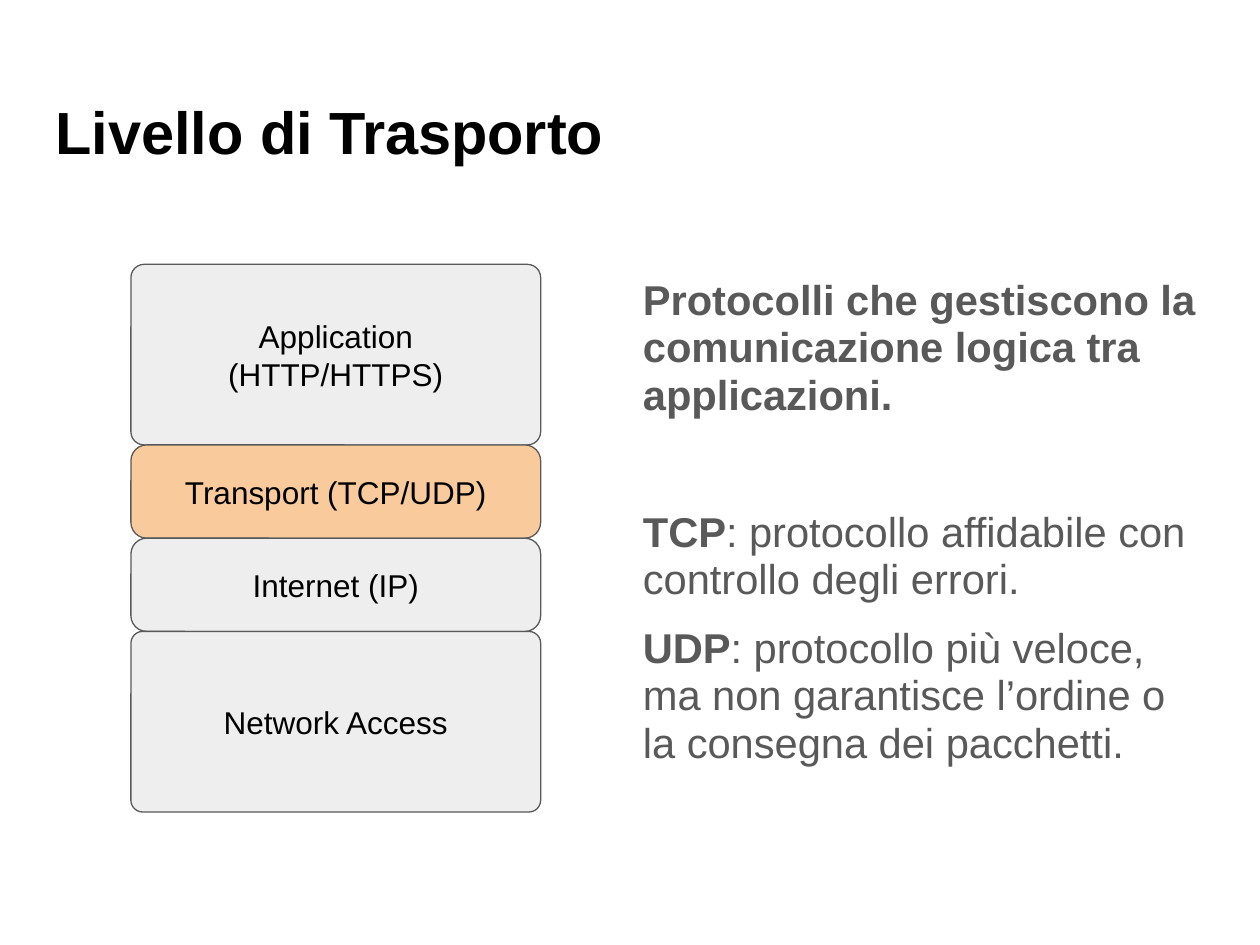
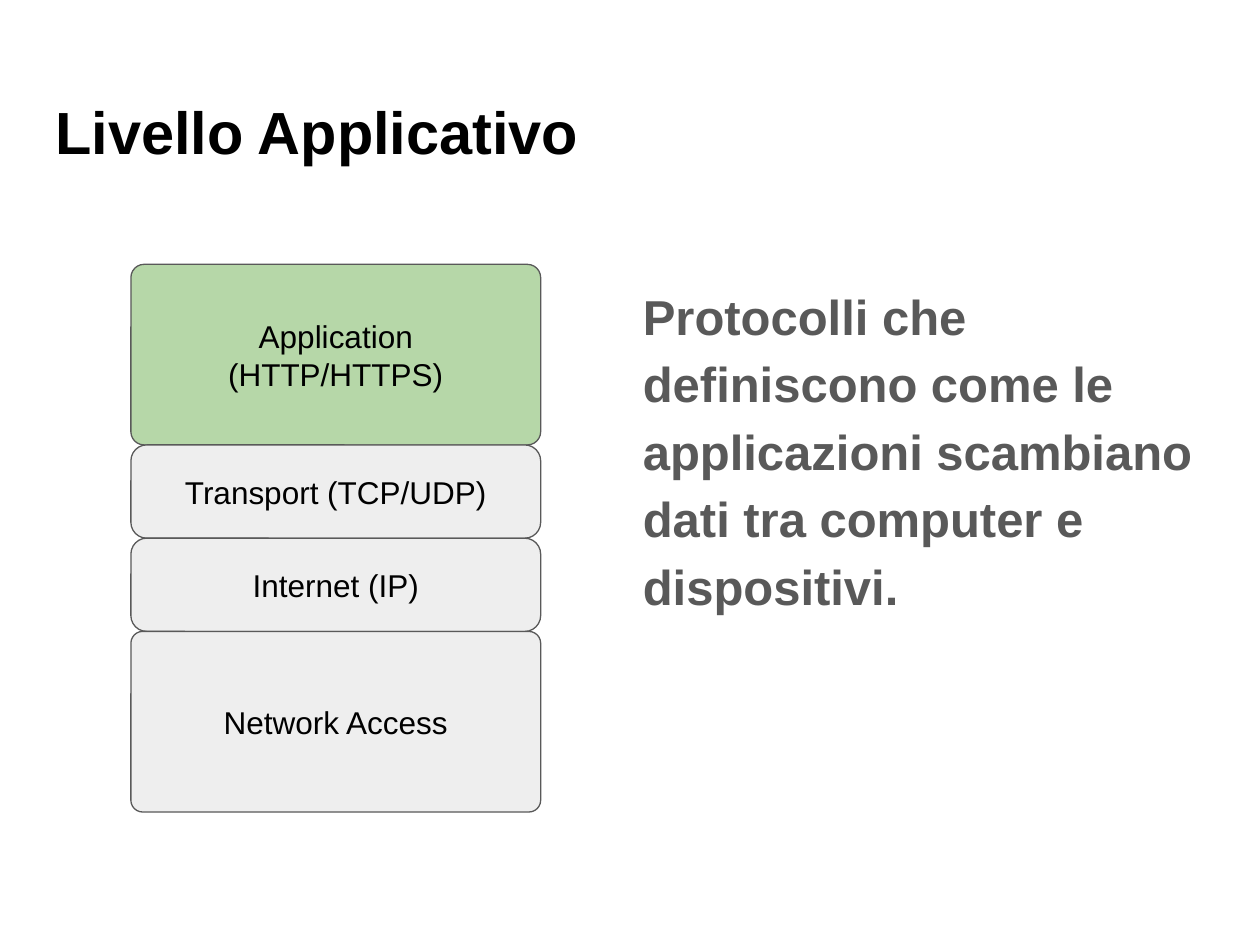
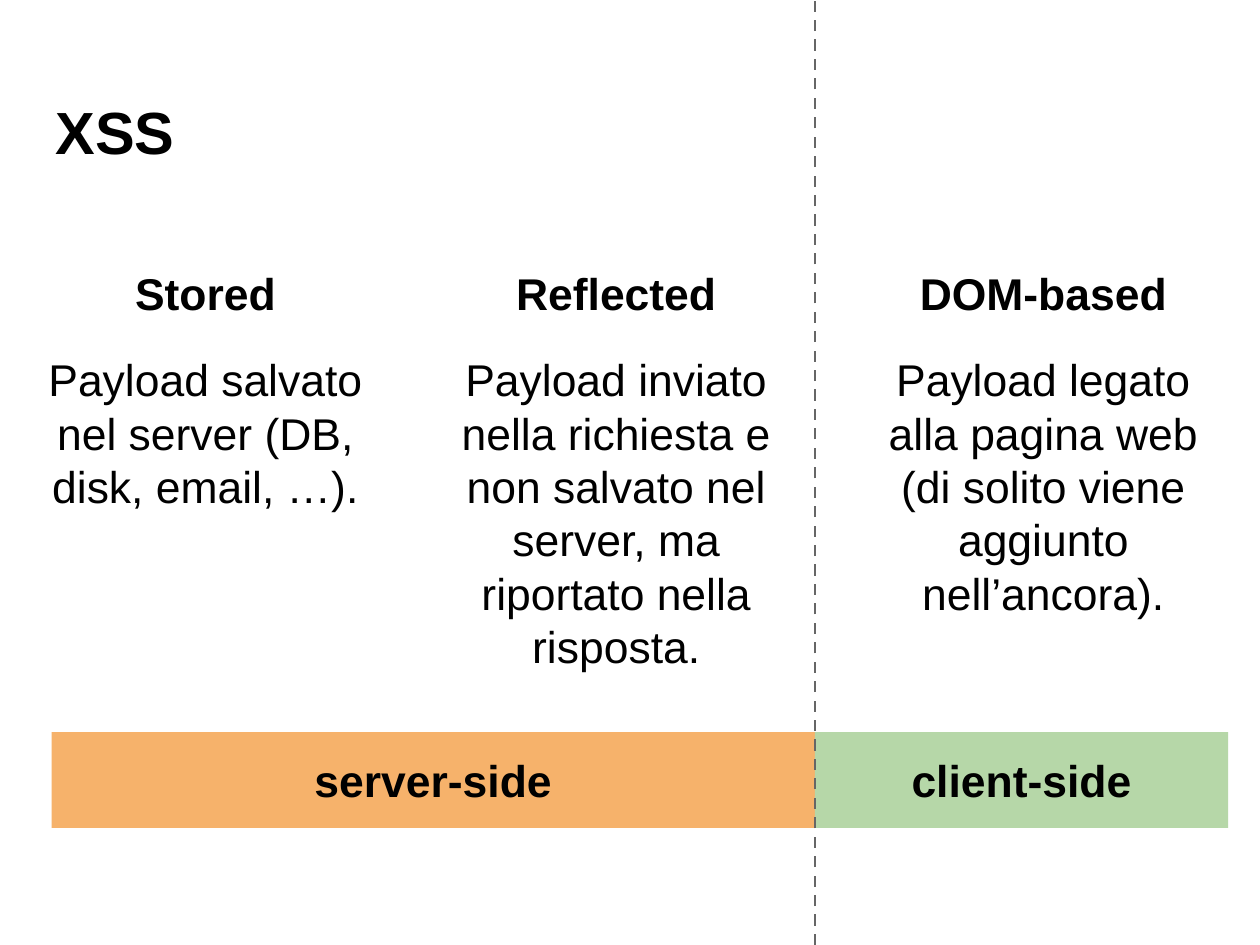
"""Build three slides on network layers and kinds of XSS."""
import pptx
import pptx.dml.color
import pptx.enum.dml
import pptx.enum.shapes
import pptx.enum.text
import pptx.oxml
import pptx.oxml.ns
import pptx.util

Cm, Pt = pptx.util.Cm, pptx.util.Pt
RGB = pptx.dml.color.RGBColor.from_string
ALIGN = pptx.enum.text.PP_ALIGN
ANCHOR = pptx.enum.text.MSO_ANCHOR
SHAPE = pptx.enum.shapes.MSO_SHAPE

COLORS = {
    "black": "000000", "body": "595959", "layer": "EEEEEE", "outline": "595959",
    "transport": "F9CB9C", "green": "B6D7A8", "server": "F6B26B", "divider": "666666",
}


def write(box, text, first=True, size=18, color="black", bold=False, align=ALIGN.LEFT,
          anchor=ANCHOR.TOP, spacing=1.0, before=0, inset=0.26):
    """Write one unbulleted paragraph, with parts between ** in bold."""
    frame = box.text_frame
    frame.word_wrap = True
    frame.auto_size = pptx.enum.text.MSO_AUTO_SIZE.NONE
    frame.vertical_anchor = anchor
    frame.margin_left = frame.margin_right = Cm(inset)
    frame.margin_top = frame.margin_bottom = Cm(inset)
    para = frame.paragraphs[0] if first else frame.add_paragraph()
    properties = para._p.get_or_add_pPr()
    properties.set("marL", "0")
    properties.set("indent", "0")
    properties.append(pptx.oxml.parse_xml(f"<a:buNone {pptx.oxml.ns.nsdecls('a')}/>"))
    para.alignment = align
    para.line_spacing = spacing
    para.space_before = Pt(before)
    para.space_after = Pt(0)
    for number, part in enumerate(text.split("**")):
        if part:
            span = para.add_run()
            span.text = part
            span.font.name = "Arial"
            span.font.size = Pt(size)
            span.font.bold = bold or number % 2 == 1
            span.font.color.rgb = RGB(COLORS[color])


def add_block(page, kind, left, top, width, height, fill, text, **style):
    """Add a filled shape with centred text and no outline."""
    block = page.shapes.add_shape(kind, Cm(left), Cm(top), Cm(width), Cm(height))
    block.shadow.inherit = False
    block.fill.solid()
    block.fill.fore_color.rgb = RGB(COLORS[fill])
    block.line.fill.background()
    write(block, text, align=ALIGN.CENTER, anchor=ANCHOR.MIDDLE, **style)
    return block


deck = pptx.Presentation()
deck.slide_width, deck.slide_height = Cm(25.4), Cm(19.05)

pages = []
for title, layout in [("Livello di Trasporto", 1), ("Livello Applicativo", 1), ("XSS", 5)]:
    page = deck.slides.add_slide(deck.slide_layouts[layout])
    heading = page.shapes.title
    heading.left, heading.top, heading.width, heading.height = Cm(0.86), Cm(1.65), Cm(23.67), Cm(2.11)
    write(heading, title, size=34, bold=True)
    pages.append(page)

layers = [
    ("Application (HTTP/HTTPS)", 3.64, 0.073),
    ("Transport (TCP/UDP)", 1.88, 0.17),
    ("Internet (IP)", 1.88, 0.17),
    ("Network Access", 3.64, 0.065),
]
explanations = [
    (1, "transport", 23.8, 0.95, [
        ("**Protocolli che gestiscono la comunicazione logica tra applicazioni.**", 0),
        ("**TCP**: protocollo affidabile con controllo degli errori.", 51),
        ("**UDP**: protocollo più veloce, ma non garantisce l’ordine o la consegna dei pacchetti.", 12),
    ]),
    (0, "green", 28, 1.15, [
        ("**Protocolli che definiscono come le applicazioni scambiano dati tra computer e dispositivi.**", 0),
    ]),
]
for page, (active, highlight, size, spacing, paragraphs) in zip(pages, explanations):
    top = 5.33
    for index, (name, height, corner) in enumerate(layers):
        fill = highlight if index == active else "layer"
        layer = add_block(page, SHAPE.ROUNDED_RECTANGLE, 2.64, top, 8.26, height, fill, name)
        layer.adjustments[0] = corner
        layer.line.color.rgb = RGB(COLORS["outline"])
        layer.line.width = Pt(0.75)
        top += height
    body = page.placeholders[1]
    body.left, body.top, body.width, body.height = Cm(12.7), Cm(5.33), Cm(11.84), Cm(11.05)
    for index, (text, before) in enumerate(paragraphs):
        write(body, text, first=index == 0, size=size, color="body", spacing=spacing, before=before)

page = pages[2]
label = {"size": 25.4, "inset": 0.28}
attacks = [
    (0.64, 7.54, "Stored", "Payload salvato nel server (DB, disk, email, …)."),
    (8.92, 8.15, "Reflected",
     "Payload inviato nella richiesta e non salvato nel server, ma riportato nella risposta."),
    (17.53, 8.03, "DOM-based", "Payload legato alla pagina web (di solito viene aggiunto nell’ancora)."),
]
for left, height, name, description in attacks:
    box = page.shapes.add_textbox(Cm(left), Cm(5.08), Cm(7.01), Cm(height))
    write(box, name, bold=True, align=ALIGN.CENTER, **label)
    write(box, description, first=False, align=ALIGN.CENTER, before=19, **label)

divide = 16.43
for left, width, fill, side in [(1.04, divide - 1.04, "server", "server-side"),
                                (divide, 8.33, "green", "client-side")]:
    add_block(page, SHAPE.RECTANGLE, left, 14.76, width, 1.93, fill, side, bold=True, **label)

divider = page.shapes.add_connector(
    pptx.enum.shapes.MSO_CONNECTOR.STRAIGHT, Cm(divide), deck.slide_height, Cm(divide), Cm(0))
divider.line.color.rgb = RGB(COLORS["divider"])
divider.line.width = Pt(1.59)
divider.line.dash_style = pptx.enum.dml.MSO_LINE.DASH
divider._element.spPr.append(pptx.oxml.parse_xml(f"<a:effectLst {pptx.oxml.ns.nsdecls('a')}/>"))

deck.save("out.pptx")
